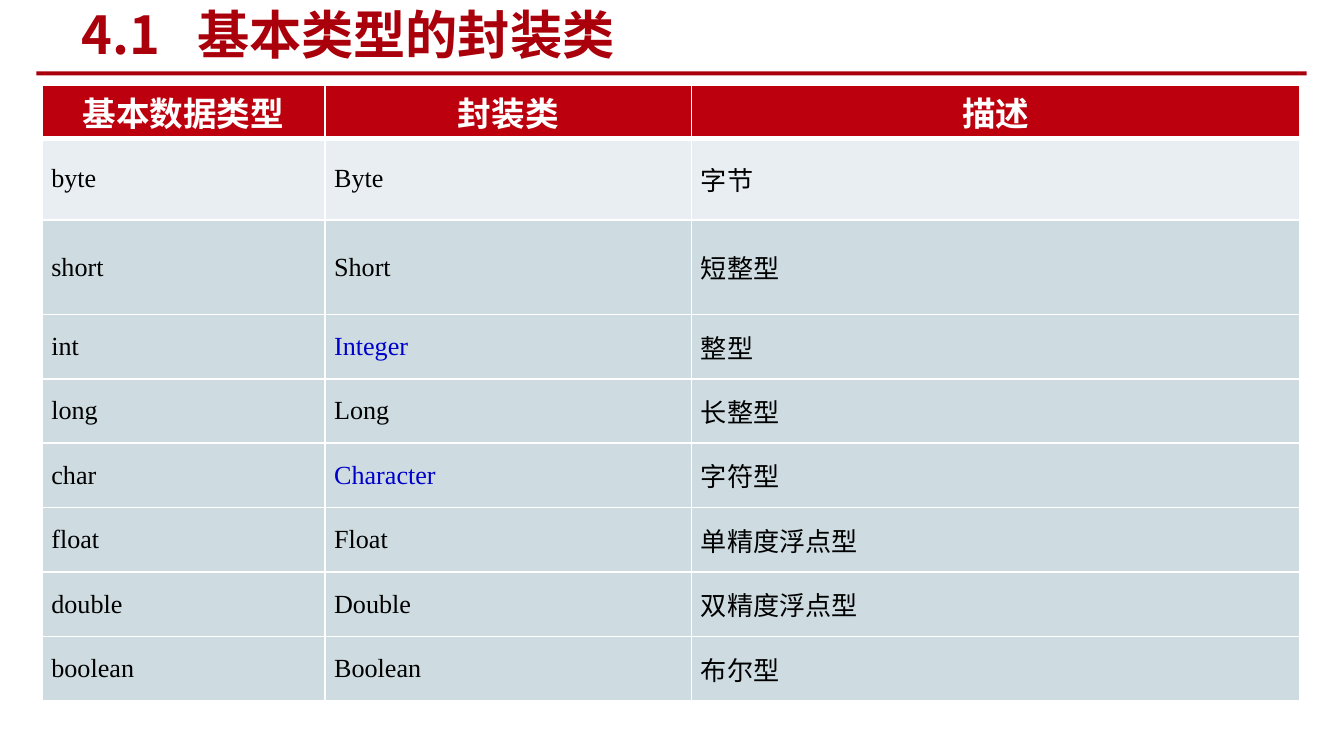
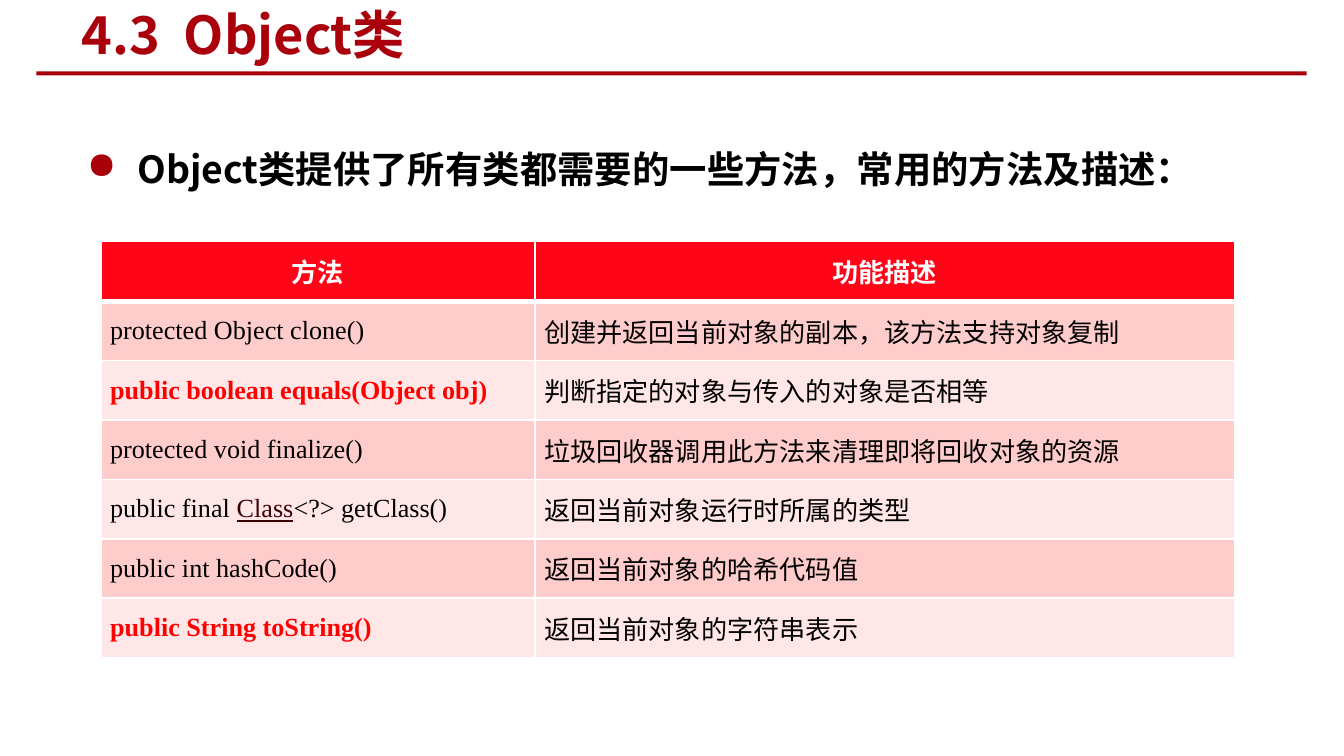
from lxml.etree import SubElement
from pptx import Presentation
from pptx.dml.color import RGBColor
from pptx.enum.shapes import MSO_SHAPE as Shape
from pptx.enum.text import MSO_ANCHOR as Anchor, PP_ALIGN as Align
from pptx.oxml.ns import qn
from pptx.util import Pt

WHITE = RGBColor(0xFF, 0xFF, 0xFF)
BLACK = RGBColor(0x00, 0x00, 0x00)
DARK_RED = RGBColor(0xAA, 0x00, 0x0B)
HEADER_RED = RGBColor(0xBC, 0x00, 0x0D)
BRIGHT_RED = RGBColor(0xFF, 0x05, 0x17)
METHOD_RED = RGBColor(0xFF, 0x00, 0x00)
LINK_RED = RGBColor(0x3A, 0x00, 0x04)
CLASS_BLUE = RGBColor(0x00, 0x00, 0xCC)
PALE_GREY = RGBColor(0xE8, 0xEE, 0xF1)
BLUE_GREY = RGBColor(0xCE, 0xDC, 0xE1)
PINK = RGBColor(0xFF, 0xCC, 0xCC)
PALE_PINK = RGBColor(0xFF, 0xE7, 0xE8)

SANS = "Noto Sans CJK SC"
SERIF = "Times New Roman"


def write(paragraph, text, size=14, font=SERIF, color=BLACK, bold=False, underline=False):
    """Add one formatted run to a paragraph."""
    run = paragraph.add_run()
    run.text = text
    run.font.size = Pt(size)
    run.font.bold = bold
    run.font.underline = underline
    run.font.color.rgb = color
    run.font.name = font
    SubElement(run.font._element, qn("a:ea"), typeface=SANS)


def set_border(cell, side, width):
    properties = cell._tc.get_or_add_tcPr()
    line = SubElement(properties, qn(f"a:ln{side}"), w=str(Pt(width)))
    fill = SubElement(line, qn("a:solidFill"))
    SubElement(fill, qn("a:srgbClr"), val=str(WHITE))


class Deck:
    def __init__(self):
        self.presentation = Presentation()
        self.presentation.slide_width = Pt(720)
        self.presentation.slide_height = Pt(405)
        self.slide = None

    def add_slide(self, number, heading, heading_indent):
        """Start a slide with its title and the red rule below."""
        self.slide = self.presentation.slides.add_slide(self.presentation.slide_layouts[6])
        rule = self.slide.shapes.add_shape(
            Shape.RECTANGLE, Pt(19.5), Pt(38.2), Pt(680.5), Pt(2.2))
        rule.shadow.inherit = False
        rule.fill.solid()
        rule.fill.fore_color.rgb = DARK_RED
        rule.line.fill.background()

        paragraph = self.add_text_box(36.5, 1.5, 381.5, 32.5, Anchor.MIDDLE)
        tabs = SubElement(paragraph._p.get_or_add_pPr(), qn("a:tabLst"))
        SubElement(tabs, qn("a:tab"), pos=str(Pt(heading_indent)), algn="l")
        write(paragraph, f"{number}\t{heading}", size=28, font=SANS, color=DARK_RED, bold=True)

    def add_text_box(self, left, top, width, height, anchor=Anchor.TOP):
        box = self.slide.shapes.add_textbox(Pt(left), Pt(top), Pt(width), Pt(height))
        frame = box.text_frame
        frame.word_wrap = True
        frame.vertical_anchor = anchor
        return frame.paragraphs[0]

    def add_bullet(self, text, left, top, width, height):
        paragraph = self.add_text_box(left, top, width, height)
        paragraph.line_spacing = 1.5
        properties = paragraph._p.get_or_add_pPr()
        properties.set("marL", str(Pt(27)))
        properties.set("indent", str(-Pt(27)))
        color = SubElement(properties, qn("a:buClr"))
        SubElement(color, qn("a:srgbClr"), val=str(DARK_RED))
        SubElement(properties, qn("a:buChar"), char="●")
        write(paragraph, text, size=20, font=SANS, bold=True)

    def add_table(self, left, top, widths, heights, header, rows, header_fill,
                  row_fills, header_format, alignment):
        """Each cell is a text or a list of (text, format) parts."""
        frame = self.slide.shapes.add_table(
            len(heights), len(widths), Pt(left), Pt(top), Pt(sum(widths)), Pt(sum(heights)))
        table = frame.table
        table.horz_banding = False
        for column, width in zip(table.columns, widths):
            column.width = Pt(width)
        for row, height in zip(table.rows, heights):
            row.height = Pt(height)

        base = dict(color=WHITE, bold=True, **header_format)
        for index, text in enumerate(header):
            self.fill_cell(table.cell(0, index), [(text, base)], header_fill,
                           Align.CENTER, bottom=3)
        for row_index, (values, fill) in enumerate(zip(rows, row_fills), start=1):
            for index, value in enumerate(values):
                parts = [(value, {})] if isinstance(value, str) else value
                self.fill_cell(table.cell(row_index, index), parts, fill, alignment,
                               top=3 if row_index == 1 else 1)

    def fill_cell(self, cell, parts, fill, alignment, top=1, bottom=1):
        for side, width in (("L", 1), ("R", 1), ("T", top), ("B", bottom)):
            set_border(cell, side, width)
        cell.fill.solid()
        cell.fill.fore_color.rgb = fill
        cell.vertical_anchor = Anchor.MIDDLE
        cell.margin_left = cell.margin_right = Pt(5)
        cell.margin_top = cell.margin_bottom = 0
        paragraph = cell.text_frame.paragraphs[0]
        paragraph.alignment = alignment
        for text, text_format in parts:
            write(paragraph, text, **text_format)


def add_wrapper_classes(deck):
    deck.add_slide("4.1", "基本类型的封装类", 62)
    blue = {"color": CLASS_BLUE}
    rows = [
        ("byte", "Byte", "字节"),
        ("short", "Short", "短整型"),
        ("int", [("Integer", blue)], "整型"),
        ("long", "Long", "长整型"),
        ("char", [("Character", blue)], "字符型"),
        ("float", "Float", "单精度浮点型"),
        ("double", "Double", "双精度浮点型"),
        ("boolean", "Boolean", "布尔型"),
    ]
    deck.add_table(
        22.5, 45.5, [151.5, 196.5, 326], [28.5, 44, 50.5] + [34.5] * 6,
        ("基本数据类型", "封装类", "描述"), rows, HEADER_RED,
        [PALE_GREY] + [BLUE_GREY] * 7, {"size": 18}, Align.LEFT)


def add_object_methods(deck):
    deck.add_slide("4.3", "Object类", 55)
    deck.add_bullet("Object类提供了所有类都需要的一些方法，常用的方法及描述：",
                    39.5, 62.5, 646.5, 295)
    key = {"color": METHOD_RED, "bold": True}
    link = {"color": LINK_RED, "underline": True}
    rows = [
        ("protected Object clone()", "创建并返回当前对象的副本，该方法支持对象复制"),
        ([("public boolean equals(Object obj)", key)], "判断指定的对象与传入的对象是否相等"),
        ("protected void finalize()", "垃圾回收器调用此方法来清理即将回收对象的资源"),
        ([("public final ", {}), ("Class", link), ("<?> getClass()", {})],
         "返回当前对象运行时所属的类型"),
        ("public int hashCode()", "返回当前对象的哈希代码值"),
        ([("public String toString()", key)], "返回当前对象的字符串表示"),
    ]
    deck.add_table(
        54, 129.5, [232.5, 375], [31.85] * 7, ("方法", "功能描述"), rows,
        BRIGHT_RED, [PINK, PALE_PINK] * 3, {"font": "Calibri"}, Align.JUSTIFY)


def main():
    deck = Deck()
    add_wrapper_classes(deck)
    add_object_methods(deck)
    deck.presentation.save("out.pptx")


if __name__ == "__main__":
    main()
